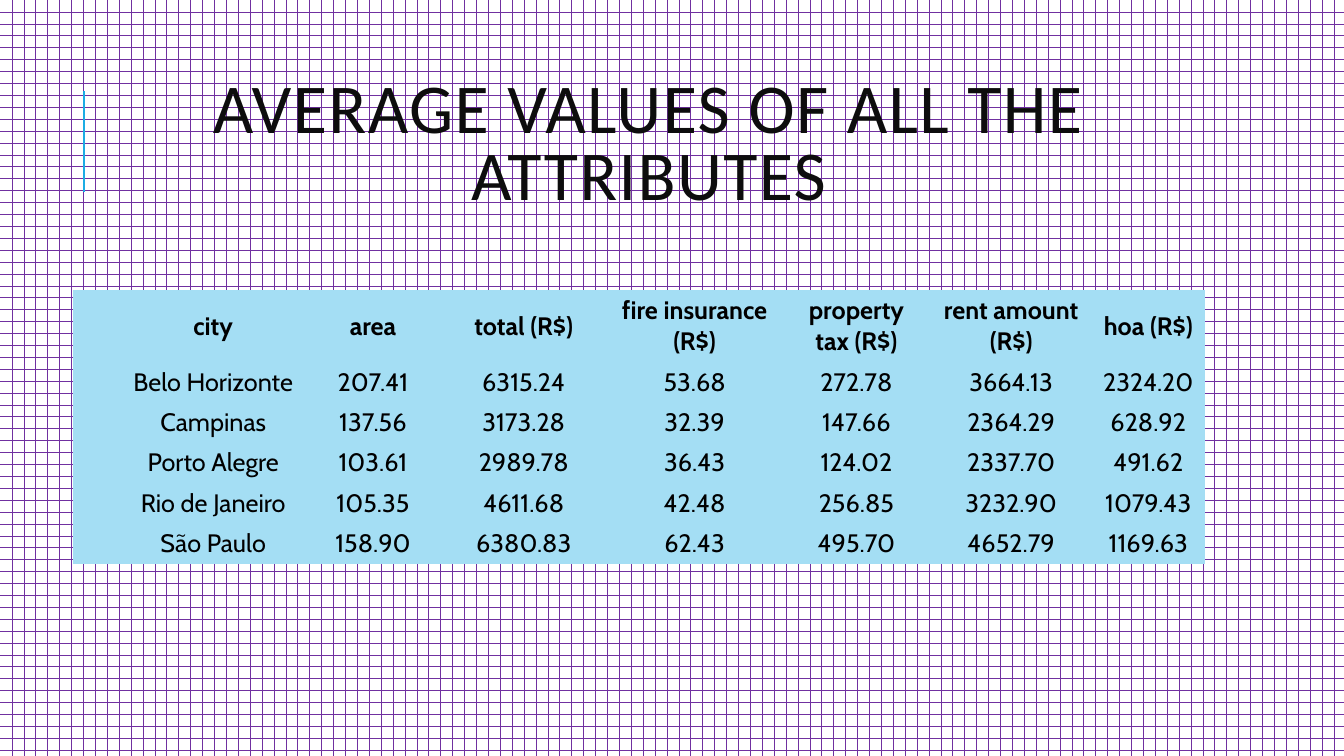
"""Build the slide of average rental values by city."""
from dataclasses import dataclass

from lxml import etree
from pptx import Presentation
from pptx.dml.color import RGBColor
from pptx.enum.dml import MSO_PATTERN
from pptx.enum.shapes import MSO_CONNECTOR
from pptx.enum.text import MSO_ANCHOR, PP_ALIGN
from pptx.oxml.ns import qn
from pptx.util import Pt

STRAIGHT = MSO_CONNECTOR.STRAIGHT
BRICK = MSO_PATTERN.HORIZONTAL_BRICK
MIDDLE = MSO_ANCHOR.MIDDLE
CENTER = PP_ALIGN.CENTER
EMU_PER_PX = 9144
PLAIN_TABLE_STYLE = "{2D5ABB26-0587-4C30-8999-92F81FD0307C}"


@dataclass(frozen=True)
class Theme:
    """Colours, fonts and type sizes of the slide."""
    brick: str = "7030A0"
    paper: str = "FFFFFF"
    accent: str = "1CADE4"
    title: str = "0D0D0D"
    text: str = "000000"
    cell: str = "A4DEF4"
    title_font: str = "Calibri"
    table_font: str = "Cabin"
    title_size: int = 50
    table_size: int = 18
    title_tracking: int = 100


THEME = Theme()
COLUMN_WIDTHS = (24, 24, 183, 134, 165, 174, 147, 160, 112)
ROW_HEIGHTS = (71, 40, 40, 40, 40, 40)
EMPTY_COLUMNS = ("", "")
CITY_AVERAGES = (
    ("city", "area", "total (R$)", "fire insurance (R$)", "property tax (R$)",
     "rent amount (R$)", "hoa (R$)"),
    ("Belo Horizonte", "207.41", "6315.24", "53.68", "272.78", "3664.13", "2324.20"),
    ("Campinas", "137.56", "3173.28", "32.39", "147.66", "2364.29", "628.92"),
    ("Porto Alegre", "103.61", "2989.78", "36.43", "124.02", "2337.70", "491.62"),
    ("Rio de Janeiro", "105.35", "4611.68", "42.48", "256.85", "3232.90", "1079.43"),
    ("São Paulo", "158.90", "6380.83", "62.43", "495.70", "4652.79", "1169.63"),
)


def px(*lengths):
    """Turn pixel lengths into EMU."""
    return [length * EMU_PER_PX for length in lengths]


def rgb(code):
    """Turn a hex code into a colour."""
    return RGBColor.from_string(code)


def apply_format(target, values):
    """Set every attribute named in a dict of format values."""
    for name, value in values.items():
        setattr(target, name, value)


def write_text(para, text, color, font_values):
    """Write one centred, formatted span into a paragraph."""
    para.alignment = CENTER
    span = para.add_run()
    span.text = text
    apply_format(span.font, font_values)
    span.font.color.rgb = rgb(color)
    return span


def paint_background(page):
    """Fill the slide background with the brick pattern."""
    fill = page.background.fill
    fill.patterned()
    fill.pattern = BRICK
    fill.fore_color.rgb = rgb(THEME.brick)
    fill.back_color.rgb = rgb(THEME.paper)


def add_rule(page, start, end):
    """Draw the accent line beside the title."""
    rule = page.shapes.add_connector(STRAIGHT, *px(*start, *end))
    rule.line.color.rgb = rgb(THEME.accent)
    rule.line.width = Pt(1.5)
    etree.SubElement(rule._element.spPr, qn("a:effectLst"))


def add_title(page, text, *bounds):
    """Add the centred slide title."""
    box = page.shapes.add_textbox(*px(*bounds))
    frame = box.text_frame
    apply_format(frame, {"word_wrap": True, "vertical_anchor": MIDDLE})
    para = frame.paragraphs[0]
    para.line_spacing = 0.8
    span = write_text(para, text, THEME.title,
                      {"name": THEME.title_font, "size": Pt(THEME.title_size)})
    span._r.get_or_add_rPr().set("spc", str(THEME.title_tracking))


def add_averages_table(page, left, top):
    """Add the table of averages with a bold header row."""
    bounds = px(left, top, sum(COLUMN_WIDTHS), sum(ROW_HEIGHTS))
    table = page.shapes.add_table(len(ROW_HEIGHTS), len(COLUMN_WIDTHS), *bounds).table
    apply_format(table, {"first_row": False, "horz_banding": False})
    table._tbl.tblPr.find(qn("a:tableStyleId")).text = PLAIN_TABLE_STYLE
    for column, width in zip(table.columns, px(*COLUMN_WIDTHS)):
        column.width = width
    for row, height in zip(table.rows, px(*ROW_HEIGHTS)):
        row.height = height
    for row_index, averages in enumerate(CITY_AVERAGES):
        font_values = {"name": THEME.table_font, "size": Pt(THEME.table_size),
                       "bold": row_index == 0}
        for column_index, text in enumerate(EMPTY_COLUMNS + averages):
            cell = table.cell(row_index, column_index)
            cell.fill.solid()
            cell.fill.fore_color.rgb = rgb(THEME.cell)
            cell.vertical_anchor = MIDDLE
            if text:
                write_text(cell.text_frame.paragraphs[0], text, THEME.text, font_values)


def main():
    """Build the slide and save the deck."""
    deck = Presentation()
    deck.slide_width, deck.slide_height = px(1333, 750)
    page = deck.slides.add_slide(deck.slide_layouts[6])
    paint_background(page)
    add_rule(page, (83, 190), (83, 90))
    add_title(page, "AVERAGE VALUES OF ALL THE ATTRIBUTES", 112, 64, 1063, 164)
    add_averages_table(page, 72, 288)
    deck.save("out.pptx")


if __name__ == "__main__":
    main()
